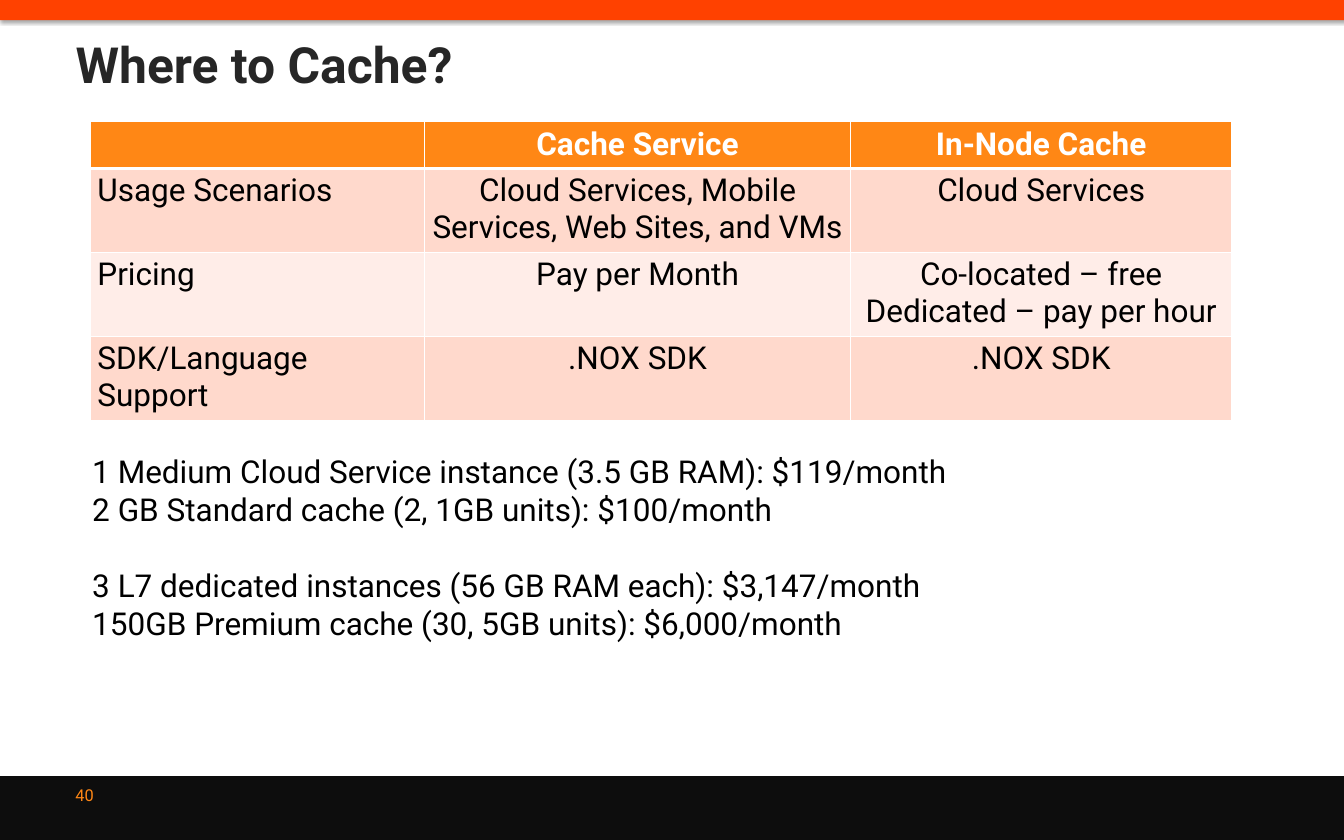
from lxml import etree
from pptx import Presentation
from pptx.dml.color import RGBColor
from pptx.enum import shapes, text
from pptx.oxml import ns
from pptx.util import Inches, Pt

FONT = "Roboto"
BODY_SIZE = 27
WHITE = RGBColor(0xFF, 0xFF, 0xFF)
BLACK = RGBColor(0, 0, 0)
CHARCOAL = RGBColor(0x26, 0x26, 0x26)
FOOTER_BLACK = RGBColor(0x0D, 0x0D, 0x0D)
RED_ORANGE = RGBColor(0xFF, 0x41, 0x00)
ORANGE = RGBColor(0xFF, 0x87, 0x15)
BANDS = [RGBColor(0xFF, 0xD9, 0xCC), RGBColor(0xFF, 0xED, 0xE8)]

COLUMN_WIDTHS = [3.97, 5.08, 4.53]
HEADER_HEIGHT, ROW_HEIGHT = 0.53, 0.97
CELL_MARGIN = 0.08
COMPARISON = [
    [[], ["Cache Service"], ["In-Node Cache"]],
    [["Usage Scenarios"],
     ["Cloud Services, Mobile Services, Web Sites, and VMs"],
     ["Cloud Services"]],
    [["Pricing"], ["Pay per Month"],
     ["Co-located – free", "Dedicated – pay per hour"]],
    [["SDK/Language Support"], [".NOX SDK"], [".NOX SDK"]],
]
COST_GROUPS = [
    ["1 Medium Cloud Service instance (3.5 GB RAM): $119/month",
     "2 GB Standard cache (2, 1GB units): $100/month"],
    ["3 L7 dedicated instances (56 GB RAM each): $3,147/month",
     "150GB Premium cache (30, 5GB units): $6,000/month"],
]


def add_lines(frame, lines, size, color, bold=False, align=None):
    """Write one paragraph per line and return the paragraphs."""
    paragraphs = []
    for number, line in enumerate(lines):
        paragraph = frame.add_paragraph() if number else frame.paragraphs[0]
        paragraph.alignment = align
        run = paragraph.add_run()
        run.text = line
        run.font.name = FONT
        run.font.size = Pt(size)
        run.font.bold = bold
        run.font.color.rgb = color
        paragraphs.append(paragraph)
    return paragraphs


def add_bar(slide, left, top, width, height, color):
    bar = slide.shapes.add_shape(
        shapes.MSO_SHAPE.RECTANGLE,
        Inches(left), Inches(top), Inches(width), Inches(height))
    bar.fill.solid()
    bar.fill.fore_color.rgb = color
    bar.line.fill.background()
    bar.shadow.inherit = False
    return bar


def add_drop_shadow(bar):
    effects = bar.element.spPr.find(ns.qn("a:effectLst"))
    shadow = etree.SubElement(
        effects, ns.qn("a:outerShdw"), blurRad=str(Pt(3.1)),
        dist=str(Pt(1.8)), dir="5400000", algn="t", rotWithShape="0")
    color = etree.SubElement(shadow, ns.qn("a:srgbClr"), val=str(BLACK))
    etree.SubElement(color, ns.qn("a:alpha"), val="35000")


def add_text_box(slide, left, top, width, height):
    box = slide.shapes.add_textbox(
        Inches(left), Inches(top), Inches(width), Inches(height))
    box.text_frame.word_wrap = True
    return box.text_frame


def set_title(slide, title):
    placeholder = slide.shapes.title
    placeholder.left, placeholder.top = Inches(0.8), Inches(0.35)
    placeholder.width, placeholder.height = Inches(14.4), Inches(0.75)
    frame = placeholder.text_frame
    frame.vertical_anchor = text.MSO_ANCHOR.TOP
    frame.margin_top = Inches(0.05)
    add_lines(frame, [title], 42.7, CHARCOAL, True, text.PP_ALIGN.LEFT)


def set_borders(cell, top, bottom):
    """Draw white borders; top and bottom are widths in points."""
    properties = cell._tc.get_or_add_tcPr()
    widths = {"a:lnL": 1, "a:lnR": 1, "a:lnT": top, "a:lnB": bottom}
    for position, (side, width) in enumerate(widths.items()):
        line = etree.Element(ns.qn(side), w=str(Pt(width)))
        fill = etree.SubElement(line, ns.qn("a:solidFill"))
        etree.SubElement(fill, ns.qn("a:srgbClr"), val=str(WHITE))
        properties.insert(position, line)


def add_comparison(slide):
    height = HEADER_HEIGHT + ROW_HEIGHT * (len(COMPARISON) - 1)
    table = slide.shapes.add_table(
        len(COMPARISON), len(COLUMN_WIDTHS), Inches(1.08), Inches(1.45),
        Inches(sum(COLUMN_WIDTHS)), Inches(height)).table
    for column, width in zip(table.columns, COLUMN_WIDTHS):
        column.width = Inches(width)
    for r, row in enumerate(COMPARISON):
        header = r == 0
        table.rows[r].height = Inches(HEADER_HEIGHT if header else ROW_HEIGHT)
        for c, lines in enumerate(row):
            cell = table.cell(r, c)
            cell.margin_left = cell.margin_right = Inches(CELL_MARGIN)
            cell.fill.solid()
            cell.fill.fore_color.rgb = ORANGE if header else BANDS[(r - 1) % 2]
            set_borders(cell, 3 if r == 1 else 1, 3 if header else 1)
            align = text.PP_ALIGN.CENTER if c else text.PP_ALIGN.LEFT
            add_lines(cell.text_frame, lines, BODY_SIZE,
                      WHITE if header else BLACK, header, align)


def add_costs(slide):
    frame = add_text_box(slide, 1, 5.33, 10.94, 2.37)
    lines = [line for group in COST_GROUPS for line in group]
    paragraphs = add_lines(frame, lines, BODY_SIZE, BLACK)
    for paragraph in paragraphs:
        paragraph.line_spacing = 1.01
    paragraphs[len(COST_GROUPS[0])].space_before = Pt(32)


def add_slide_number(slide):
    frame = add_text_box(slide, 0.8, 9.2, 3.73, 0.53)
    frame.vertical_anchor = text.MSO_ANCHOR.MIDDLE
    add_lines(frame, ["40"], 14, ORANGE)


def main():
    deck = Presentation()
    deck.slide_width, deck.slide_height = Inches(16), Inches(10)
    slide = deck.slides.add_slide(deck.slide_layouts.get_by_name("Title Only"))
    add_bar(slide, 0, 9.24, 16, 0.76, FOOTER_BLACK)
    add_drop_shadow(add_bar(slide, 0, -0.02, 16.02, 0.26, RED_ORANGE))
    set_title(slide, "Where to Cache?")
    add_slide_number(slide)
    add_comparison(slide)
    add_costs(slide)
    deck.save("out.pptx")


if __name__ == "__main__":
    main()
